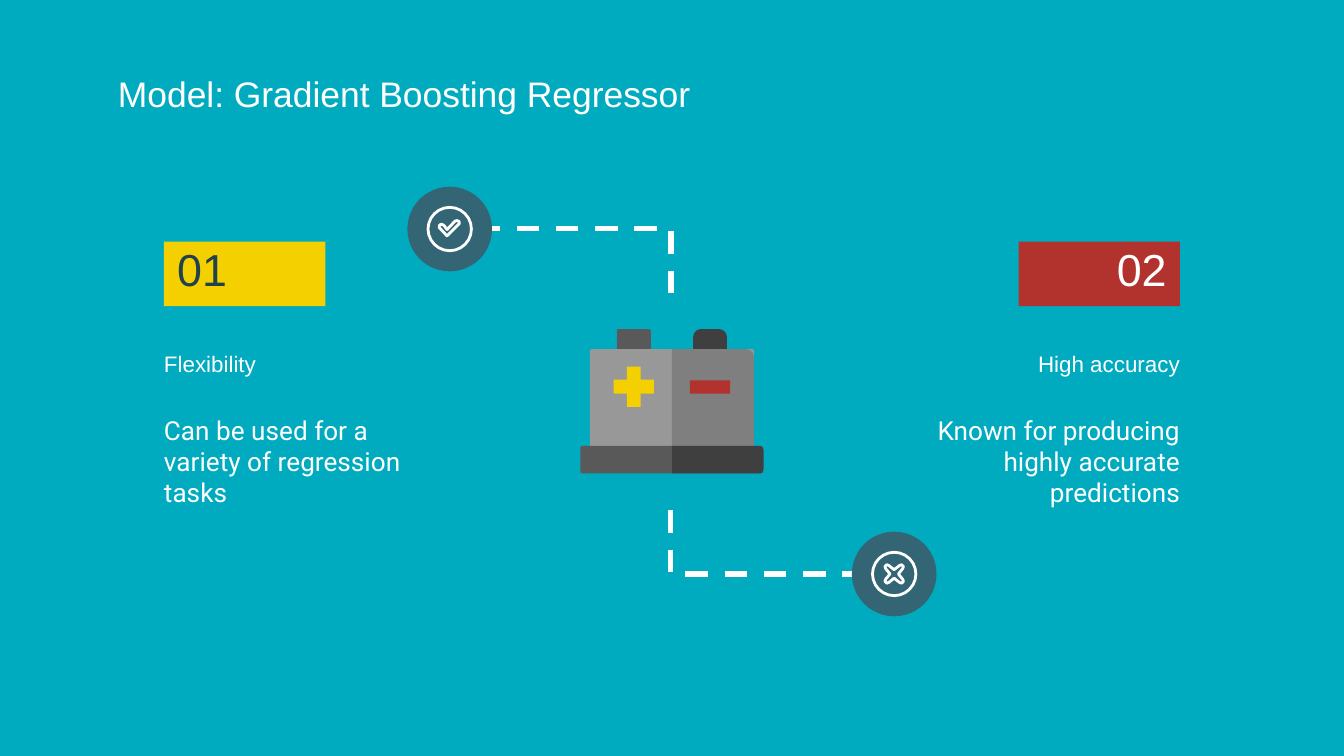
import pptx
import pptx.util
import pptx.dml.color
import pptx.enum.dml
import pptx.enum.shapes
import pptx.enum.text
import pptx.oxml.ns
import lxml.etree

Cm, Pt = pptx.util.Cm, pptx.util.Pt
SHAPE = pptx.enum.shapes.MSO_SHAPE
ALIGN = pptx.enum.text.PP_ALIGN
ANCHOR = pptx.enum.text.MSO_ANCHOR
qn = pptx.oxml.ns.qn

# Content, all lengths in cm
WIDTH, HEIGHT = 25.4, 14.29
WHITE = "FFFFFF"
title = "Model: Gradient Boosting Regressor"
# number, heading, description, badge fill, number colour, on the right side
points = [
    ("01", "Flexibility", "Can be used for a variety of regression tasks",
     "F4D000", "1F424C", False),
    ("02", "High accuracy", "Known for producing highly accurate predictions",
     "B2322E", WHITE, True),
]
# preset, left, top, width, height, fill, corner radius or arm inset, rotation
battery = [
    (SHAPE.ROUND_2_SAME_RECTANGLE, 11.66, 6.22, 0.64, 0.46, "5A5959", 0.04, 0),
    (SHAPE.ROUND_2_SAME_RECTANGLE, 11.15, 6.60, 3.10, 1.83, "989898", 0.04, 0),
    (SHAPE.ROUNDED_RECTANGLE, 10.97, 8.43, 3.45, 0.52, "5A5959", 0.04, 0),
    (SHAPE.CROSS, 11.60, 6.93, 0.76, 0.76, "F4D000", 0.25, 0),
    (SHAPE.ROUND_2_SAME_RECTANGLE, 13.10, 6.22, 0.64, 0.38, "3F3F3F", 0.15, 0),
    (SHAPE.ROUND_1_RECTANGLE, 12.70, 6.60, 1.55, 1.83, "807F7F", 0.15, 0),
    (SHAPE.ROUND_2_SAME_RECTANGLE, 12.70, 8.43, 1.73, 0.52, "3F3F3F", 0.08, 90),
    (SHAPE.RECTANGLE, 13.04, 7.19, 0.76, 0.25, "B2322E", None, 0),
]
# Outlines around the icon centre; the cross is one arm turned four times
check = [(-0.20, -0.03), (-0.05, 0.13), (0.18, -0.10), (0.18, -0.14),
         (0.14, -0.16), (0.10, -0.15), (-0.05, 0.01), (-0.11, -0.07),
         (-0.15, -0.09), (-0.19, -0.08)]
arm = [(0.08, 0), (0.16, 0.10), (0.175, 0.14), (0.14, 0.175), (0.10, 0.16)]
cross = []
for turn in range(4):
    cross += arm
    arm = [(-y, x) for x, y in arm]
# icon centre, outline
icons = [(8.50, 4.33, check), (16.90, 10.85, cross)]
# left, top, width, height as drawn, rotation
dashed_paths = [(9.30, 4.32, 3.38, 1.22, 90), (12.67, 9.65, 3.43, 1.20, 270)]


def color(value):
    return pptx.dml.color.RGBColor.from_string(value)


def add_shape(preset, left, top, width, height, fill=None, line=None):
    shape = slide.shapes.add_shape(preset, Cm(left), Cm(top), Cm(width), Cm(height))
    style(shape, fill, line)
    return shape


def style(shape, fill=None, line=None):
    shape.shadow.inherit = False
    if fill:
        shape.fill.solid()
        shape.fill.fore_color.rgb = color(fill)
    else:
        shape.fill.background()
    if line:
        shape.line.color.rgb = color(line)
        shape.line.width = Pt(1.5)
        lxml.etree.SubElement(shape.line._get_or_add_ln(), qn("a:round"))
    else:
        shape.line.fill.background()


def write(shape, text, size=12, font="Arial", ink=WHITE, align=ALIGN.LEFT,
          anchor=ANCHOR.MIDDLE, spacing=None):
    frame = shape.text_frame
    frame.word_wrap = True
    frame.vertical_anchor = anchor
    frame.margin_left = frame.margin_right = Cm(0.25)
    frame.margin_top = frame.margin_bottom = Cm(0.25)
    paragraph = frame.paragraphs[0]
    paragraph.alignment = align
    if spacing:
        paragraph.line_spacing = spacing
    run = paragraph.add_run()
    run.text = text
    run.font.size, run.font.name = Pt(size), font
    run.font.color.rgb = color(ink)


def add_text(left, top, width, height, text, **form):
    box = slide.shapes.add_textbox(Cm(left), Cm(top), Cm(width), Cm(height))
    write(box, text, **form)


deck = pptx.Presentation()
deck.slide_width, deck.slide_height = Cm(WIDTH), Cm(HEIGHT)
slide = deck.slides.add_slide(deck.slide_layouts[6])
slide.background.fill.solid()
slide.background.fill.fore_color.rgb = color("00ABBF")

add_text(1.98, 1.12, 21.44, 1.60, title, size=19, anchor=ANCHOR.TOP)

# The two points mirror each other
for number, heading, description, fill, ink, on_right in points:
    align = ALIGN.RIGHT if on_right else ALIGN.LEFT

    def side(left, width):
        return WIDTH - left - width if on_right else left

    add_text(side(2.85, 6.45), 6.02, 6.45, 1.70, heading, align=align)
    add_text(side(2.85, 5.72), 7.70, 5.72, 2.03, description,
             size=14, font="Roboto", align=align)
    badge = add_shape(SHAPE.RECTANGLE, side(3.10, 3.05), 4.57, 3.05, 1.22, fill)
    write(badge, number, size=24, ink=ink, align=align, spacing=0.8)

# Dashed paths with one bend: the frame is turned about its centre
for left, top, width, height, rotation in dashed_paths:
    x, y = left + (width - height) / 2, top + (height - width) / 2
    dashes = slide.shapes.add_connector(
        pptx.enum.shapes.MSO_CONNECTOR.ELBOW,
        Cm(x), Cm(y), Cm(x + height), Cm(y + width))
    dashes.line.color.rgb = color(WHITE)
    dashes.line.width = Pt(3)
    dashes.line.dash_style = pptx.enum.dml.MSO_LINE.DASH
    properties = dashes._element.spPr
    lxml.etree.SubElement(properties, qn("a:effectLst"))
    properties.find(qn("a:prstGeom")).set("prst", "bentConnector2")
    frame = properties.find(qn("a:xfrm"))
    frame.set("rot", str(rotation * 60000))
    frame.set("flipH", "1")

# Battery
for preset, left, top, width, height, fill, radius, rotation in battery:
    if rotation:
        left, top = left + (width - height) / 2, top + (height - width) / 2
        width, height = height, width
    part = add_shape(preset, left, top, width, height, fill)
    part.rotation = rotation
    if radius:
        part.adjustments[0] = radius / min(width, height)

# Round icons
for x, y, outline in icons:
    for radius, fill, line in [(0.80, "336574", None), (0.41, None, WHITE)]:
        add_shape(SHAPE.OVAL, x - radius, y - radius, 2 * radius, 2 * radius, fill, line)
    corners = [(Cm(x + dx), Cm(y + dy)) for dx, dy in outline]
    builder = slide.shapes.build_freeform(*corners[0])
    builder.add_line_segments(corners[1:], close=True)
    style(builder.convert_to_shape(), line=WHITE)

deck.save("out.pptx")
